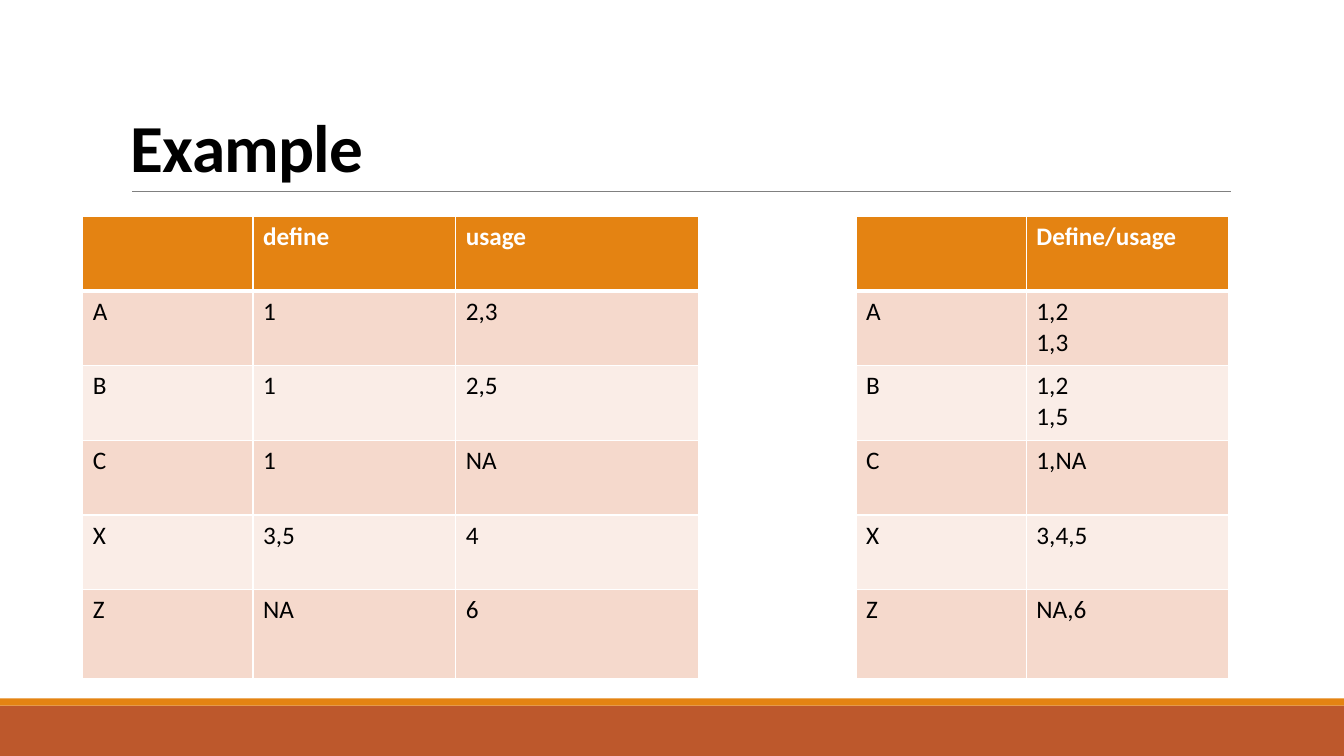
from lxml import etree
from pptx import Presentation
from pptx.dml.color import RGBColor
from pptx.enum.shapes import MSO_CONNECTOR, MSO_SHAPE
from pptx.enum.text import MSO_ANCHOR
from pptx.oxml.ns import qn
from pptx.util import Inches, Pt

# Content
TITLE = "Example"
TABLES = [
    {"left": 0.82, "cols": [1.69, 2.01, 2.41], "rows": [
        ("", "define", "usage"),
        ("A", "1", "2,3"),
        ("B", "1", "2,5"),
        ("C", "1", "NA"),
        ("X", "3,5", "4"),
        ("Z", "NA", "6"),
    ]},
    {"left": 8.49, "cols": [1.69, 2.01], "rows": [
        ("", "Define/usage"),
        ("A", "1,2\n1,3"),
        ("B", "1,2\n1,5"),
        ("C", "1,NA"),
        ("X", "3,4,5"),
        ("Z", "NA,6"),
    ]},
]
COLORS = {"orange": "E48312", "rust": "BD582C", "rule": "808080",
          "odd": "F5D9CC", "even": "FAEDE7", "white": "FFFFFF", "black": "000000"}
TITLE_FONT = {"name": "Calibri", "size": Pt(48), "bold": True}
HEAD_FONT = {"name": "Calibri", "size": Pt(18), "bold": True}
BODY_FONT = {**HEAD_FONT, "bold": False}

# Layout
WIDTH, HEIGHT = 13.33, 7.5
TABLE_TOP, ROW_H, LAST_ROW_H = 2.15, 0.74, 0.88
BANDS = [(7, 0.5, "rust"), (6.93, 0.07, "orange")]


def rgb(name):
    return RGBColor.from_string(COLORS[name])


def set_font(font, values, color):
    for key, value in values.items():
        setattr(font, key, value)
    font.color.rgb = rgb(color)


def set_border(cell, side, points):
    ln = etree.SubElement(cell._tc.get_or_add_tcPr(), qn(f"a:ln{side}"), w=str(Pt(points)))
    fill = etree.SubElement(ln, qn("a:solidFill"))
    etree.SubElement(fill, qn("a:srgbClr"), val=COLORS["white"])


def add_grid(slide, left, cols, rows):
    heights = [ROW_H] * (len(rows) - 1) + [LAST_ROW_H]
    table = slide.shapes.add_table(
        len(rows), len(cols), Inches(left), Inches(TABLE_TOP),
        Inches(sum(cols)), Inches(sum(heights))).table
    for column, width in zip(table.columns, cols):
        column.width = Inches(width)
    for i, (row, height) in enumerate(zip(rows, heights)):
        table.rows[i].height = Inches(height)
        widths = {"L": 1, "R": 1, "T": 3 if i == 1 else 1, "B": 3 if i == 0 else 1}
        band = "orange" if i == 0 else "odd" if i % 2 else "even"
        font, color = (BODY_FONT, "black") if i else (HEAD_FONT, "white")
        for j, text in enumerate(row):
            cell = table.cell(i, j)
            for side, points in widths.items():
                set_border(cell, side, points)
            cell.fill.solid()
            cell.fill.fore_color.rgb = rgb(band)
            cell.text_frame.text = text
            for p in cell.text_frame.paragraphs:
                for r in p.runs:
                    set_font(r.font, font, color)


def main():
    prs = Presentation()
    prs.slide_width, prs.slide_height = Inches(WIDTH), Inches(HEIGHT)
    s = prs.slides.add_slide(prs.slide_layouts[6])

    # Footer bands
    for top, height, color in BANDS:
        sp = s.shapes.add_shape(MSO_SHAPE.RECTANGLE, 0, Inches(top),
                                Inches(WIDTH), Inches(height))
        sp.shadow.inherit = False
        sp.fill.solid()
        sp.fill.fore_color.rgb = rgb(color)
        sp.line.fill.background()

    # Rule under the title
    line = s.shapes.add_connector(MSO_CONNECTOR.STRAIGHT, Inches(1.31), Inches(1.9),
                                  Inches(12.21), Inches(1.9))
    line.line.color.rgb = rgb("rule")
    line.line.width = Pt(0.5)
    etree.SubElement(line._element.spPr, qn("a:effectLst"))

    # Title
    tf = s.shapes.add_textbox(Inches(1.2), Inches(0.31), Inches(11), Inches(1.59)).text_frame
    tf.word_wrap = True
    tf.vertical_anchor = MSO_ANCHOR.BOTTOM
    p = tf.paragraphs[0]
    p.line_spacing = 0.85
    r = p.add_run()
    r.text = TITLE
    set_font(r.font, TITLE_FONT, "black")
    r._r.get_or_add_rPr().set("spc", "-50")

    # Tables
    for grid in TABLES:
        add_grid(s, **grid)

    prs.save("out.pptx")


if __name__ == "__main__":
    main()
